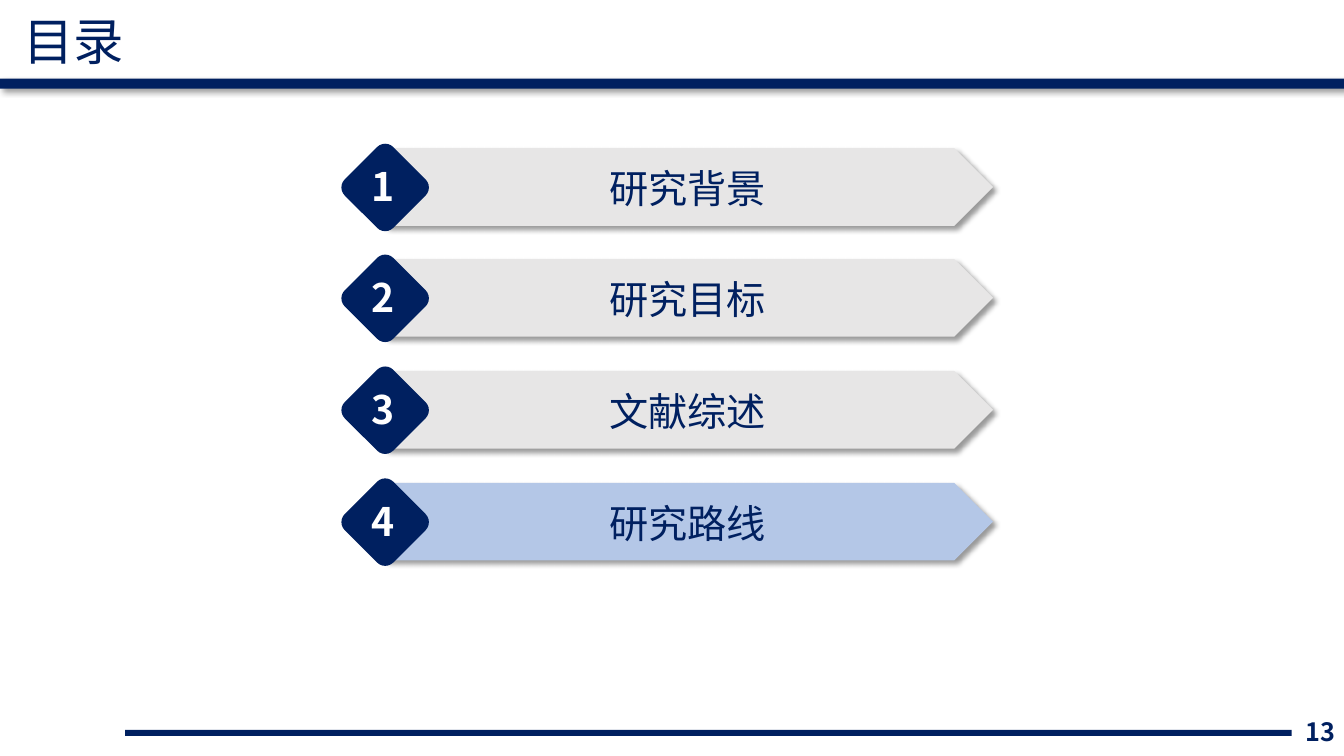
from lxml import etree
from pptx import Presentation
from pptx.dml.color import RGBColor
from pptx.enum.shapes import MSO_SHAPE as SHAPE
from pptx.enum.text import MSO_ANCHOR as ANCHOR, MSO_AUTO_SIZE as AUTO, PP_ALIGN as ALIGN
from pptx.oxml import parse_xml
from pptx.oxml.ns import nsdecls, qn
from pptx.util import Emu, Pt

PX = 9144
FONT = "Noto Sans CJK SC"
NAVY, GREY, BLUE, WHITE = "002060", "E7E6E6", "B4C7E7", "FFFFFF"
TOPICS = ["研究背景", "研究目标", "文献综述", "研究路线"]
CURRENT = 4
SHADOW = f"""<a:effectLst {nsdecls('a')}>
  <a:outerShdw blurRad="50800" dist="38100" dir="2700000" algn="tl" rotWithShape="0">
    <a:srgbClr val="000000"><a:alpha val="40000"/></a:srgbClr>
  </a:outerShdw>
</a:effectLst>"""


def px(*lengths):
    """Turn pixel lengths into EMU."""
    return [Emu(n * PX) for n in lengths]


def rgb(hex_code):
    """Return the colour for a hex string."""
    return RGBColor.from_string(hex_code)


def add_block(s, kind, box, color, shadow=False):
    """Add a filled shape without outline, with an optional soft shadow."""
    sp = s.shapes.add_shape(kind, *px(*box))
    sp.fill.solid()
    sp.fill.fore_color.rgb = rgb(color)
    sp.line.fill.background()
    sp.shadow.inherit = False
    if shadow:
        spPr = sp._element.spPr
        spPr.replace(spPr.find(qn("a:effectLst")), parse_xml(SHADOW))
    return sp


def write(sp, text, size, color=NAVY, bold=False, align=ALIGN.LEFT, wrap=True, anchor=ANCHOR.TOP):
    """Write one formatted paragraph into a shape."""
    tf = sp.text_frame
    tf.text = text
    tf.word_wrap = wrap
    tf.auto_size = AUTO.NONE
    tf.vertical_anchor = anchor
    p = tf.paragraphs[0]
    p.alignment = align
    font = p.font
    font.name, font.size, font.bold = FONT, Pt(size), bold
    font.color.rgb = rgb(color)
    etree.SubElement(font._element, qn("a:ea"), typeface=FONT)


def add_text(s, box, text, size, **style):
    """Add a text box with one paragraph."""
    write(s.shapes.add_textbox(*px(*box)), text, size, **style)


def add_title(s, text):
    """Place the slide title above the header bar."""
    title = s.shapes.title
    title.left, title.top, title.width, title.height = px(13, 5, 121, 71)
    write(title, text, 36, wrap=False)


def add_topic(s, number, topic):
    """Add one agenda row: arrow, numbered diamond and label."""
    top = 147 + (number - 1) * 332 // 3
    add_block(s, SHAPE.PENTAGON, (382, top, 603, 77), BLUE if number == CURRENT else GREY, shadow=True)
    diamond = add_block(s, SHAPE.ROUNDED_RECTANGLE, (348, top + 5, 68, 68), NAVY)
    diamond.rotation = 45
    add_text(s, (359, top + 9, 44, 57), str(number), 28, color=WHITE, bold=True, wrap=False)
    add_text(s, (439, top + 11, 486, 57), topic, 28, align=ALIGN.CENTER)


def main():
    """Build the agenda slide and save it."""
    prs = Presentation()
    prs.slide_width, prs.slide_height = px(1333, 750)
    s = prs.slides.add_slide(prs.slide_layouts[5])
    add_block(s, SHAPE.RECTANGLE, (124, 724, 1157, 6), NAVY)
    add_title(s, "目录")
    add_block(s, SHAPE.RECTANGLE, (0, 78, 1333, 10), NAVY, shadow=True)
    for number, topic in enumerate(TOPICS, 1):
        add_topic(s, number, topic)
    add_text(s, (1264, 706, 70, 40), "13", 18, bold=True, align=ALIGN.RIGHT, anchor=ANCHOR.MIDDLE)
    prs.save("out.pptx")


if __name__ == "__main__":
    main()
